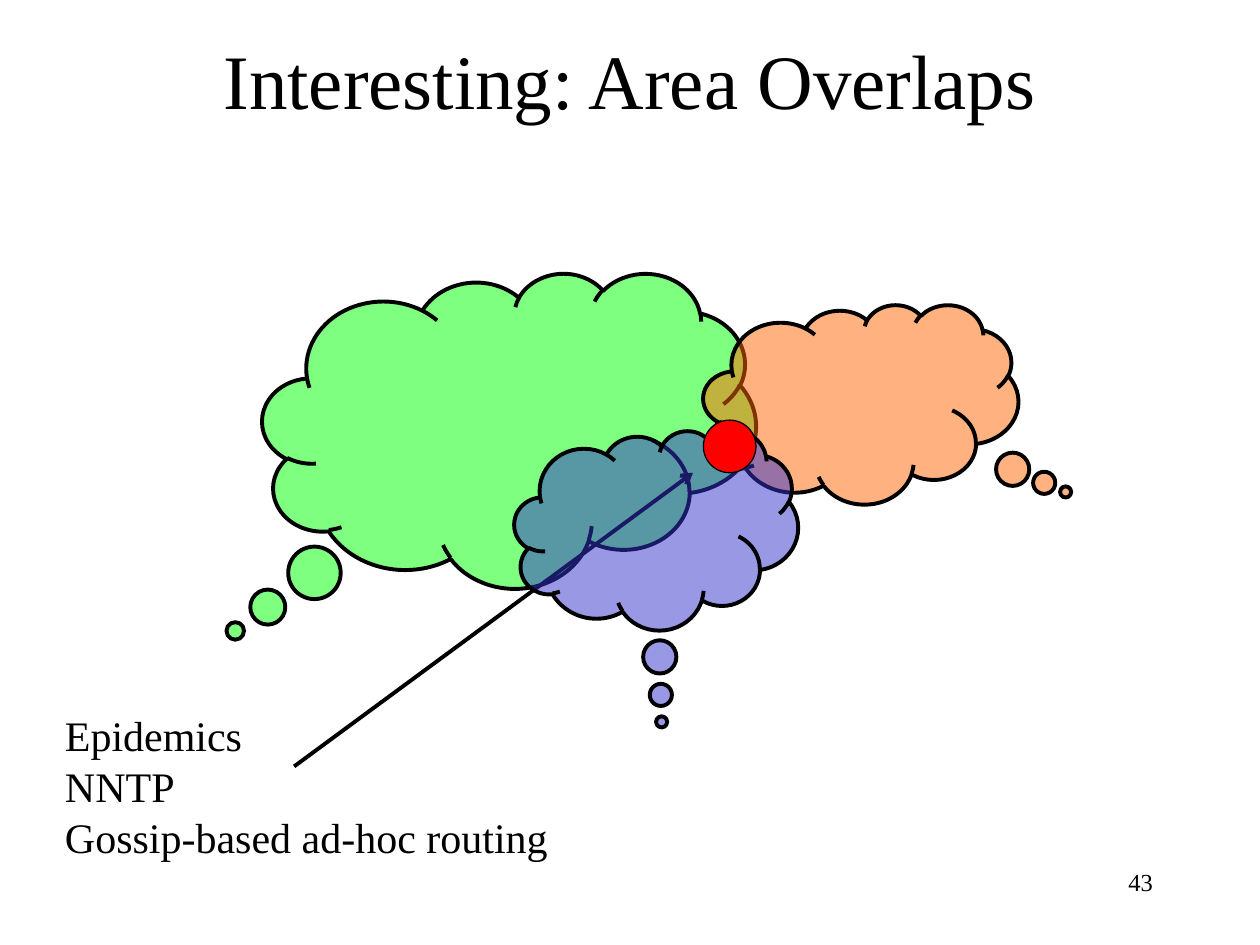
from dataclasses import dataclass

from lxml import etree
from pptx import Presentation
from pptx import util as u
from pptx.dml.color import RGBColor
from pptx.enum import shapes, text
from pptx.oxml import ns

BLACK = RGBColor(0x00, 0x00, 0x00)
GREEN = RGBColor(0x00, 0xFF, 0x00)
ORANGE = RGBColor(0xFF, 0x66, 0x00)
BLUE = RGBColor(0x33, 0x33, 0xCC)
RED = RGBColor(0xFF, 0x00, 0x00)
FONT = "Times New Roman"


@dataclass
class Box:
    left: float
    top: float
    width: float
    height: float

    def lengths(self) -> list[u.Length]:
        return [u.Cm(v) for v in (self.left, self.top, self.width, self.height)]


@dataclass
class Area:
    box: Box
    color: RGBColor
    tip: tuple[float, float]


def write(tf, lines: list[str], size: float, align, spacing=None) -> None:
    tf.text = "\n".join(lines)
    for p in tf.paragraphs:
        p.alignment = align
        p.line_spacing = spacing
        p.font.name = FONT
        p.font.size = u.Pt(size)
        p.font.color.rgb = BLACK


def add_outlined(s, kind, box: Box, color: RGBColor, line_width: float):
    sp = s.shapes.add_shape(kind, *box.lengths())
    sp.shadow.inherit = False
    sp.fill.solid()
    sp.fill.fore_color.rgb = color
    sp.line.color.rgb = BLACK
    sp.line.width = u.Pt(line_width)
    return sp


def add_area(s, area: Area) -> None:
    sp = add_outlined(s, shapes.MSO_SHAPE.CLOUD_CALLOUT, area.box, area.color, 2.25)
    for i, value in enumerate(area.tip):
        sp.adjustments[i] = value
    rgb = sp.fill._xPr.find(f".//{ns.qn('a:srgbClr')}")
    etree.SubElement(rgb, ns.qn("a:alpha"), val="50000")


def add_arrow(s, start: tuple[float, float], end: tuple[float, float]) -> None:
    points = [u.Cm(v) for v in start + end]
    c = s.shapes.add_connector(shapes.MSO_CONNECTOR.STRAIGHT, *points)
    c.line.color.rgb = BLACK
    c.line.width = u.Pt(2.25)
    etree.SubElement(c.line._get_or_add_ln(), ns.qn("a:tailEnd"), type="arrow")
    etree.SubElement(c._element.spPr, ns.qn("a:effectLst"))


def main() -> None:
    prs = Presentation()
    prs.slide_width, prs.slide_height = u.Cm(25.4), u.Cm(19.05)
    s = prs.slides.add_slide(prs.slide_layouts[5])

    number = s.shapes.add_textbox(*Box(18.2, 17.36, 5.29, 1.27).lengths())
    number.text_frame.word_wrap = True
    write(number.text_frame, ["43"], 14, text.PP_ALIGN.RIGHT)

    title = s.shapes.title
    title.left, title.top, title.width, title.height = Box(1.9, 0, 21.6, 3.18).lengths()
    title.text_frame.vertical_anchor = text.MSO_ANCHOR.MIDDLE
    write(title.text_frame, ["Interesting: Area Overlaps"], 44, text.PP_ALIGN.CENTER)

    add_area(s, Area(Box(5.29, 5.5, 9.95, 6.35), GREEN, (-0.555, 0.637)))

    examples = s.shapes.add_textbox(*Box(1.06, 14.18, 10.24, 3.3).lengths())
    tf = examples.text_frame
    tf.word_wrap = False
    tf.auto_size = text.MSO_AUTO_SIZE.SHAPE_TO_FIT_TEXT
    write(tf, ["Epidemics", "NNTP", "Gossip-based ad-hoc routing"], 24,
          text.PP_ALIGN.LEFT, u.Pt(29))

    add_arrow(s, (5.93, 15.45), (13.97, 9.53))
    add_area(s, Area(Box(14.18, 6.14, 6.35, 4.02), ORANGE, (0.65, 0.44)))
    add_area(s, Area(Box(10.37, 8.68, 5.72, 4.02), BLUE, (0.019, 0.961)))
    add_outlined(s, shapes.MSO_SHAPE.OVAL, Box(14.18, 8.47, 1.06, 1.06), RED, 0.75)

    prs.save("out.pptx")


if __name__ == "__main__":
    main()
